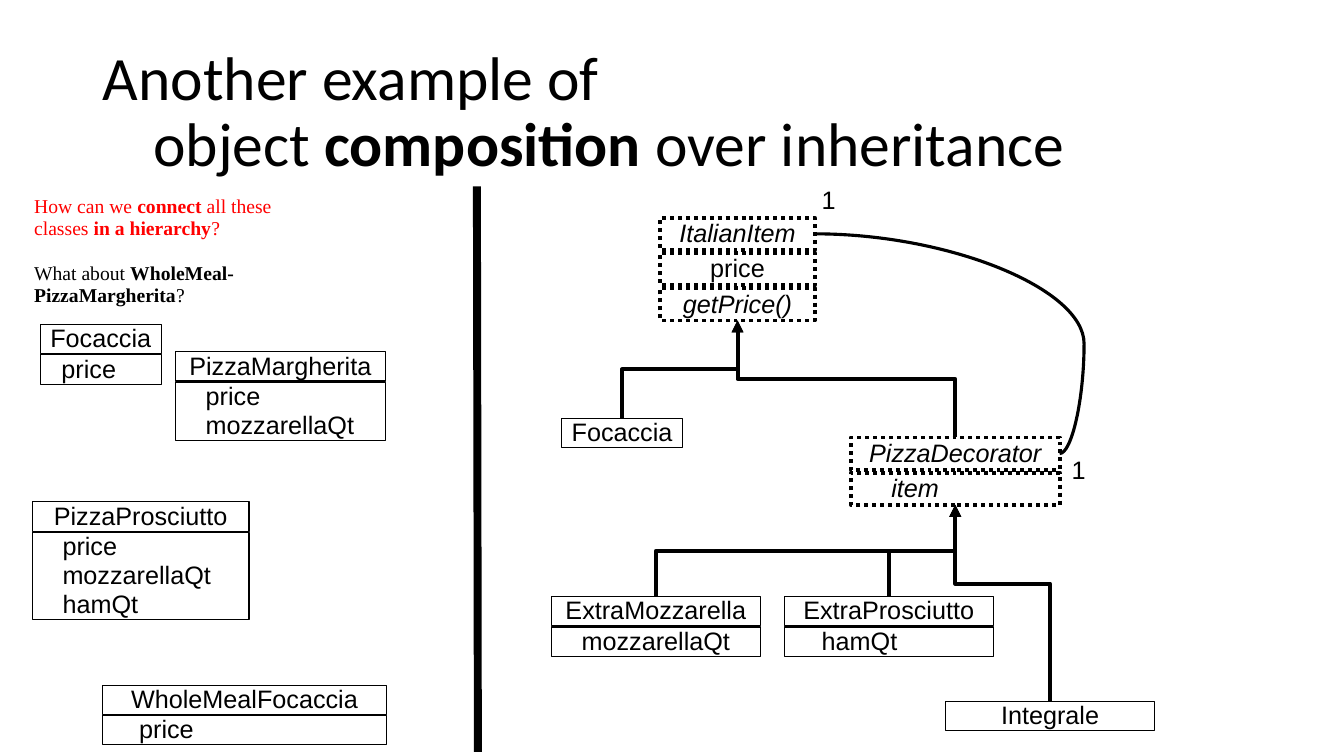
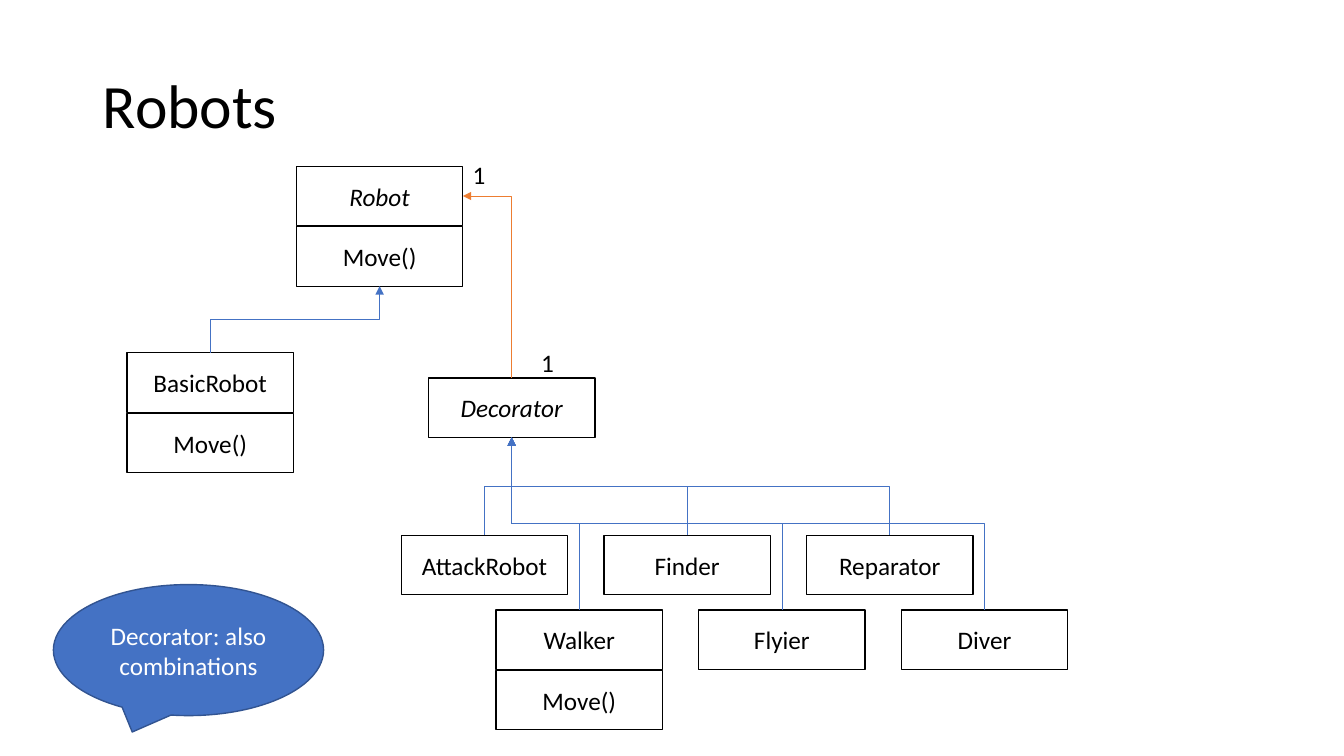
from dataclasses import dataclass
from typing import Optional

from lxml import etree
from pptx import Presentation
from pptx.dml.color import RGBColor
from pptx.enum import dml, shapes, text
from pptx.oxml import ns
from pptx.util import Inches, Pt

TOP, BOTTOM, RIGHT = 0, 2, 3


@dataclass(frozen=True)
class Theme:
    black: str = "000000"
    white: str = "FFFFFF"
    red: str = "FF0000"
    blue: str = "4472C4"
    navy: str = "325491"
    orange: str = "ED7D31"
    title_font: str = "Calibri"
    uml_font: str = "Arial"
    question_font: str = "Times New Roman"
    title_size: int = 44
    question_size: int = 14
    label_size: int = 18
    title_spacing: float = 0.9
    tight_spacing: float = 0.95


@dataclass(frozen=True)
class BoxStyle:
    font: str
    border: float
    row: float
    pitch: float
    inset: float = 0
    spacing: Optional[float] = None
    dotted: bool = False
    fill: Optional[str] = None


THEME = Theme()
CONCRETE = BoxStyle(THEME.uml_font, 0.75, 0.29, 0.3, spacing=THEME.tight_spacing)
ABSTRACT = BoxStyle(THEME.uml_font, 2.83, 0.32, 0.35, 0.02, THEME.tight_spacing, dotted=True)
ROBOT = BoxStyle(THEME.title_font, 1, 0.59, 0.6, 0.1, fill=THEME.white)


def rgb(value):
    return RGBColor.from_string(value)


class Deck:
    def __init__(self, theme):
        self.theme = theme
        self.prs = Presentation()
        self.prs.slide_width = Inches(13.33)
        self.prs.slide_height = Inches(7.5)
        self.slide = None

    def run(self, paragraph, words, font, size, color, bold=False, italic=False):
        run = paragraph.add_run()
        run.text = words
        run.font.name = font
        run.font.size = Pt(size)
        run.font.bold = bold
        run.font.italic = italic
        run.font.color.rgb = rgb(color)

    def new_slide(self, lines, top):
        self.slide = self.prs.slides.add_slide(self.prs.slide_layouts[5])
        title = self.slide.shapes.title
        title.left, title.top = Inches(0.92), Inches(top)
        title.width, title.height = Inches(11.5), Inches(1.45)
        frame = title.text_frame
        frame.auto_size = text.MSO_AUTO_SIZE.NONE
        frame.vertical_anchor = text.MSO_ANCHOR.MIDDLE
        paragraph = frame.paragraphs[0]
        paragraph.alignment = text.PP_ALIGN.LEFT
        paragraph.line_spacing = self.theme.title_spacing
        for index, line in enumerate(lines):
            if index:
                paragraph.add_line_break()
            for words, bold in line:
                self.run(paragraph, words, self.theme.title_font,
                         self.theme.title_size, self.theme.black, bold)

    def text_frame(self, x, y, w, h, wrap):
        frame = self.slide.shapes.add_textbox(
            Inches(x), Inches(y), Inches(w), Inches(h)).text_frame
        frame.word_wrap = wrap
        return frame

    def questions(self, x, y, w, h, paragraphs):
        frame = self.text_frame(x, y, w, h, True)
        for index, (color, gap, parts) in enumerate(paragraphs):
            paragraph = frame.add_paragraph() if index else frame.paragraphs[0]
            paragraph.line_spacing = self.theme.tight_spacing
            if gap:
                paragraph.space_before = Pt(gap)
            for words, bold in parts:
                self.run(paragraph, words, self.theme.question_font,
                         self.theme.question_size, color, bold)

    def multiplicity(self, x, y, w, h, style):
        frame = self.text_frame(x, y, w, h, False)
        if style is not ROBOT:
            frame.margin_left = frame.margin_right = 0
            frame.margin_top = frame.margin_bottom = 0
        paragraph = frame.paragraphs[0]
        if style.spacing:
            paragraph.line_spacing = style.spacing
        self.run(paragraph, "1", style.font, self.theme.label_size, self.theme.black)

    def shape(self, kind, x, y, w, h, fill, border, weight):
        shape = self.slide.shapes.add_shape(kind, Inches(x), Inches(y), Inches(w), Inches(h))
        shape.shadow.inherit = False
        if fill:
            shape.fill.solid()
            shape.fill.fore_color.rgb = rgb(fill)
        else:
            shape.fill.background()
        shape.line.color.rgb = rgb(border)
        shape.line.width = Pt(weight)
        frame = shape.text_frame
        frame.word_wrap = True
        frame.vertical_anchor = text.MSO_ANCHOR.MIDDLE
        return shape

    def class_box(self, x, y, w, rows, style, italics=(), indent=None):
        boxes = []
        for index, row in enumerate(rows):
            lines = row.split("\n")
            box = self.shape(shapes.MSO_SHAPE.RECTANGLE, x, y + index * style.pitch, w,
                             style.row * len(lines), style.fill, self.theme.black, style.border)
            if style.dotted:
                box.line.dash_style = dml.MSO_LINE.ROUND_DOT
            indented = indent is not None and index > 0
            frame = box.text_frame
            frame.margin_left = Inches(indent if indented else style.inset)
            frame.margin_right = Inches(style.inset)
            frame.margin_top = frame.margin_bottom = Inches(style.inset / 2)
            for number, line in enumerate(lines):
                paragraph = frame.add_paragraph() if number else frame.paragraphs[0]
                paragraph.alignment = text.PP_ALIGN.LEFT if indented else text.PP_ALIGN.CENTER
                if style.spacing:
                    paragraph.line_spacing = style.spacing
                self.run(paragraph, line, style.font, self.theme.label_size,
                         self.theme.black, italic=line in italics)
            boxes.append(box)
        return boxes

    def callout(self, x, y, w, h, words):
        bubble = self.shape(shapes.MSO_SHAPE.OVAL_CALLOUT, x, y, w, h,
                            self.theme.blue, self.theme.navy, 1)
        paragraph = bubble.text_frame.paragraphs[0]
        paragraph.alignment = text.PP_ALIGN.CENTER
        self.run(paragraph, words, self.theme.title_font, self.theme.label_size, self.theme.white)

    def line(self, kind, points, color, weight, arrow=False):
        line = self.slide.shapes.add_connector(kind, *(Inches(value) for value in points))
        line.line.color.rgb = rgb(color)
        line.line.width = Pt(weight)
        properties = line._element.spPr
        if arrow:
            etree.SubElement(properties.find(ns.qn("a:ln")), ns.qn("a:tailEnd"), type="triangle")
        etree.SubElement(properties, ns.qn("a:effectLst"))
        return line

    def link(self, kind, child, start, parent, end, color, weight, bend, arrow):
        link = self.line(kind, (0, 0, 1, 1), color, weight, arrow)
        link.begin_connect(child, start)
        link.end_connect(parent, end)
        geometry = link._element.spPr.find(ns.qn("a:prstGeom"))
        if bend is None:
            geometry.set("prst", "bentConnector2")
        else:
            guides = geometry.find(ns.qn("a:avLst"))
            if guides is None:
                guides = etree.SubElement(geometry, ns.qn("a:avLst"))
            etree.SubElement(guides, ns.qn("a:gd"), name="adj1", fmla=f"val {round(bend * 100000)}")
        return link

    def upward(self, child, parent, color, weight, bend=0.5, end=BOTTOM):
        link = self.link(shapes.MSO_CONNECTOR.ELBOW, child, TOP, parent, end,
                         color, weight, bend, True)
        rightward = link.end_x > link.begin_x
        middle_x = (link.begin_x + link.end_x) // 2
        middle_y = (link.begin_y + link.end_y) // 2
        length, breadth = link.height, link.width
        link.left, link.top = middle_x - length // 2, middle_y - breadth // 2
        link.width, link.height = length, breadth
        transform = link._element.spPr.find(ns.qn("a:xfrm"))
        transform.set("rot", str((90 if rightward else 270) * 60000))
        transform.set("flipH", "1" if rightward else "0")
        transform.set("flipV", "1")


def pizza_slide(deck):
    theme = deck.theme
    deck.new_slide([[("Another example of", False)],
                    [("\tobject ", False), ("composition", True),
                     (" over inheritance", False)]], 0.4)
    deck.questions(0.24, 1.89, 2.62, 1.22, [
        (theme.red, 0, [("How can we ", False), ("connect ", True),
                        ("all these classes ", False), ("in a hierarchy", True), ("?", False)]),
        (theme.black, 16, [("What about ", False), ("WholeMeal-", True)]),
        (theme.black, 0, [("PizzaMargherita", True), ("?", False)]),
    ])
    for x, y, w, rows, indent in [
        (0.4, 3.22, 1.2, ["Focaccia", "price"], 0.21),
        (1.74, 3.49, 2.08, ["PizzaMargherita", "price\nmozzarellaQt"], 0.3),
        (0.32, 4.98, 2.15, ["PizzaProsciutto", "price\nmozzarellaQt\nhamQt"], 0.3),
        (1.02, 6.8, 2.81, ["WholeMealFocaccia", "price"], 0.36),
    ]:
        deck.class_box(x, y, w, rows, CONCRETE, indent=indent)
    deck.line(shapes.MSO_CONNECTOR.STRAIGHT, (4.73, 1.85, 4.74, 7.46), theme.black, 5.67)

    item = deck.class_box(6.55, 2.16, 1.53, ["ItalianItem", "price", "getPrice()"],
                          ABSTRACT, ("ItalianItem", "getPrice()"))
    decorator = deck.class_box(8.44, 4.34, 2.07, ["PizzaDecorator", "item"],
                               ABSTRACT, ("PizzaDecorator", "item"), 0.4)
    focaccia = deck.class_box(5.57, 4.15, 1.2, ["Focaccia"], CONCRETE)
    mozzarella = deck.class_box(5.47, 5.92, 2.07, ["ExtraMozzarella", "mozzarellaQt"], CONCRETE)
    prosciutto = deck.class_box(7.78, 5.92, 2.07, ["ExtraProsciutto", "hamQt"],
                                CONCRETE, indent=0.37)
    integrale = deck.class_box(9.38, 6.96, 2.07, ["Integrale"], CONCRETE)
    for x, y in [(10.63, 4.53), (8.15, 1.85)]:
        deck.multiplicity(x, y, 0.14, 0.29, CONCRETE)

    deck.link(shapes.MSO_CONNECTOR.CURVE, decorator[0], RIGHT, item[0], RIGHT,
              theme.black, 2.25, -0.1, False)
    for child, parent, bend in [(mozzarella, decorator, 0.5), (prosciutto, decorator, 0.5),
                                (integrale, decorator, 0.6), (decorator, item, 0.5),
                                (focaccia, item, 0.5)]:
        deck.upward(child[0], parent[-1], theme.black, 2.83, bend)


def robot_slide(deck):
    theme = deck.theme
    deck.new_slide([[("Robots", False)]], 0.35)
    width = 1.65
    robot = deck.class_box(2.94, 1.65, width, ["Robot", "Move()"], ROBOT, ("Robot",))
    basic = deck.class_box(1.26, 3.5, width, ["BasicRobot", "Move()"], ROBOT)
    decorator = deck.class_box(4.25, 3.75, width, ["Decorator"], ROBOT, ("Decorator",))
    deck.upward(decorator[0], robot[0], theme.orange, 0.5, None, RIGHT)
    deck.upward(basic[0], robot[-1], theme.blue, 0.5)
    for left, top, robots in [
        (3.98, 5.31, [["AttackRobot"], ["Finder"], ["Reparator"]]),
        (4.92, 6.05, [["Walker", "Move()"], ["Flyier"], ["Diver"]]),
    ]:
        for column, rows in enumerate(robots):
            special = deck.class_box(left + column * 2.01, top, width, rows, ROBOT)
            deck.upward(special[0], decorator[0], theme.blue, 0.5)
    for x, y in [(5.27, 3.4), (4.59, 1.53)]:
        deck.multiplicity(x, y, 0.33, 0.4, ROBOT)
    deck.callout(0.53, 5.8, 2.68, 1.3, "Decorator: also combinations")


def main():
    deck = Deck(THEME)
    pizza_slide(deck)
    robot_slide(deck)
    deck.prs.save("out.pptx")


if __name__ == "__main__":
    main()
